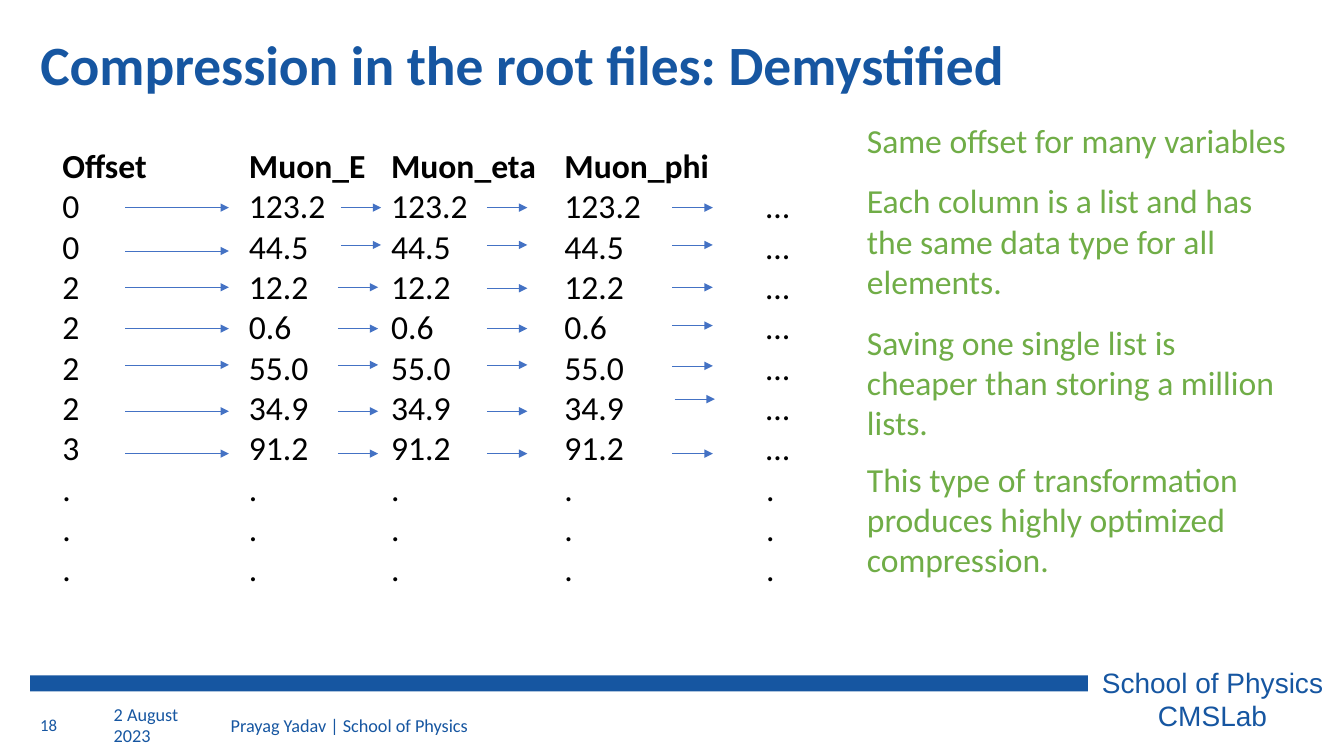
import pptx
import pptx.dml.color
import pptx.enum.shapes
import pptx.enum.text
import pptx.oxml
import pptx.oxml.ns
import pptx.util
from pptx.util import Inches

COLORS = {"brand": "1656A1", "black": "000000", "green": "70AD47", "arrow": "4472C4"}

TITLE = "Compression in the root files: Demystified"
OFFSETS = ["0", "0", "2", "2", "2", "2", "3"]
ENERGIES = ["123.2", "44.5", "12.2", "0.6", "55.0", "34.9", "91.2"]
DOTS = ["."] * 3
COLUMN_TOP, COLUMN_HEIGHT = 1.39, 4.54
CONTINUATION_TAB = 2
# heading, values, left, width
COLUMNS = [
    ("Offset", OFFSETS + DOTS, 0.52, 1.42),
    ("Muon_E", ENERGIES + DOTS, 2.37, 1.42),
    ("Muon_eta", ENERGIES + DOTS, 3.78, 1.68),
    ("Muon_phi", [value + "\t…" for value in ENERGIES] + [".\t."] * 3, 5.5, 2.82),
]
# length, then (start, height) of the arrow in each row
ARROW_COLUMNS = [
    (1.03, [(1.24, y) for y in (2.06, 2.49, 2.85, 3.26, 3.62, 4.08, 4.5)]),
    (0.4, [(3.38, 2.06), (3.38, 2.43)] + [(3.35, y) for y in (2.85, 3.26, 3.62, 4.08, 4.5)]),
    (0.4, [(4.83, y) for y in (2.06, 2.43, 2.86, 3.26, 3.62, 4.08, 4.5)]),
    (0.4, [(6.67, y) for y in (2.06, 2.43, 2.85, 3.23, 3.63)] + [(6.69, 3.96), (6.67, 4.5)]),
]
# text, top, height
REMARKS = [
    ("Same offset for many variables", 1.14, 0.5),
    ("Each column is a list and has the same data type for all elements.", 1.74, 1.31),
    ("Saving one single list is cheaper than storing a million lists.", 3.14, 1.31),
    ("This type of transformation produces highly optimized compression.", 4.5, 1.31),
]
# text, left, width, size
FOOTER = [
    ("18", 0.3, 0.44, 12),
    ("2 August 2023", 1.03, 1.14, 13),
    ("Prayag Yadav | School of Physics", 2.19, 4.5, 13),
]
LAB_NAME = ["School of Physics", "CMSLab"]


def color(name):
    return pptx.dml.color.RGBColor.from_string(COLORS[name])


def place(shape, left, top, width, height):
    shape.left, shape.top = Inches(left), Inches(top)
    shape.width, shape.height = Inches(width), Inches(height)


def format_runs(paragraph, size, color_name, bold=False, font_name="Calibri"):
    for run in paragraph.runs:
        run.font.name = font_name
        run.font.size = pptx.util.Pt(size)
        run.font.bold = bold
        run.font.color.rgb = color(color_name)


def add_text(slide, lines, box, size, color_name, font_name="Calibri"):
    shape = slide.shapes.add_textbox(*map(Inches, box))
    text_frame = shape.text_frame
    text_frame.word_wrap = True
    text_frame.text = "\n".join(lines)
    for paragraph in text_frame.paragraphs:
        format_runs(paragraph, size, color_name, font_name=font_name)
    return text_frame


def add_tab_stop(paragraph, position):
    properties = paragraph._p.get_or_add_pPr()
    tab_list = pptx.oxml.parse_xml(
        f'<a:tabLst {pptx.oxml.ns.nsdecls("a")}><a:tab pos="{Inches(position)}" algn="l"/></a:tabLst>')
    properties.append(tab_list)


def add_arrow(slide, left, top, length):
    arrow = slide.shapes.add_connector(
        pptx.enum.shapes.MSO_CONNECTOR.STRAIGHT,
        Inches(left), Inches(top), Inches(left + length), Inches(top))
    arrow.line.color.rgb = color("arrow")
    arrow.line.width = pptx.util.Pt(0.5)
    namespace = pptx.oxml.ns.nsdecls("a")
    arrow.line._get_or_add_ln().append(
        pptx.oxml.parse_xml(f'<a:tailEnd {namespace} type="triangle"/>'))
    arrow._element.spPr.append(pptx.oxml.parse_xml(f"<a:effectLst {namespace}/>"))


def add_title(slide):
    title = slide.shapes.title
    place(title, 0.3, 0.3, 12.09, 0.75)
    title.text_frame.text = TITLE
    title.text_frame.word_wrap = True
    title.text_frame.vertical_anchor = pptx.enum.text.MSO_ANCHOR.MIDDLE
    paragraph = title.text_frame.paragraphs[0]
    paragraph.alignment = pptx.enum.text.PP_ALIGN.LEFT
    paragraph.line_spacing = 0.9
    format_runs(paragraph, 39.6, "brand", bold=True)


def add_footer(slide):
    bar = slide.shapes.add_shape(
        pptx.enum.shapes.MSO_SHAPE.RECTANGLE, *map(Inches, (0.3, 6.7, 10.49, 0.16)))
    bar.shadow.inherit = False
    bar.fill.solid()
    bar.fill.fore_color.rgb = color("brand")
    bar.line.fill.background()

    lab = add_text(slide, LAB_NAME, (10.83, 6.55, 2.43, 0.77), 20, "brand", "Arial")
    lab.word_wrap = False
    lab.paragraphs[1].alignment = pptx.enum.text.PP_ALIGN.CENTER

    for text, left, width, size in FOOTER:
        text_frame = add_text(slide, [text], (left, 6.99, width, 0.4), size, "brand")
        text_frame.vertical_anchor = pptx.enum.text.MSO_ANCHOR.MIDDLE


def add_columns(slide):
    for heading, values, left, width in COLUMNS:
        box = (left, COLUMN_TOP, width, COLUMN_HEIGHT)
        text_frame = add_text(slide, [heading] + values, box, 24, "black")
        format_runs(text_frame.paragraphs[0], 24, "black", bold=True)
        for paragraph in text_frame.paragraphs:
            if "\t" in paragraph.text:
                add_tab_stop(paragraph, CONTINUATION_TAB)
    for length, starts in ARROW_COLUMNS:
        for left, top in starts:
            add_arrow(slide, left, top, length)


def main():
    presentation = pptx.Presentation()
    presentation.slide_width, presentation.slide_height = Inches(13.33), Inches(7.5)
    slide = presentation.slides.add_slide(presentation.slide_layouts[5])
    add_title(slide)
    add_footer(slide)
    add_columns(slide)
    for text, top, height in REMARKS:
        add_text(slide, [text], (8.5, top, 4.4, height), 24, "green")
    presentation.save("out.pptx")


if __name__ == "__main__":
    main()
